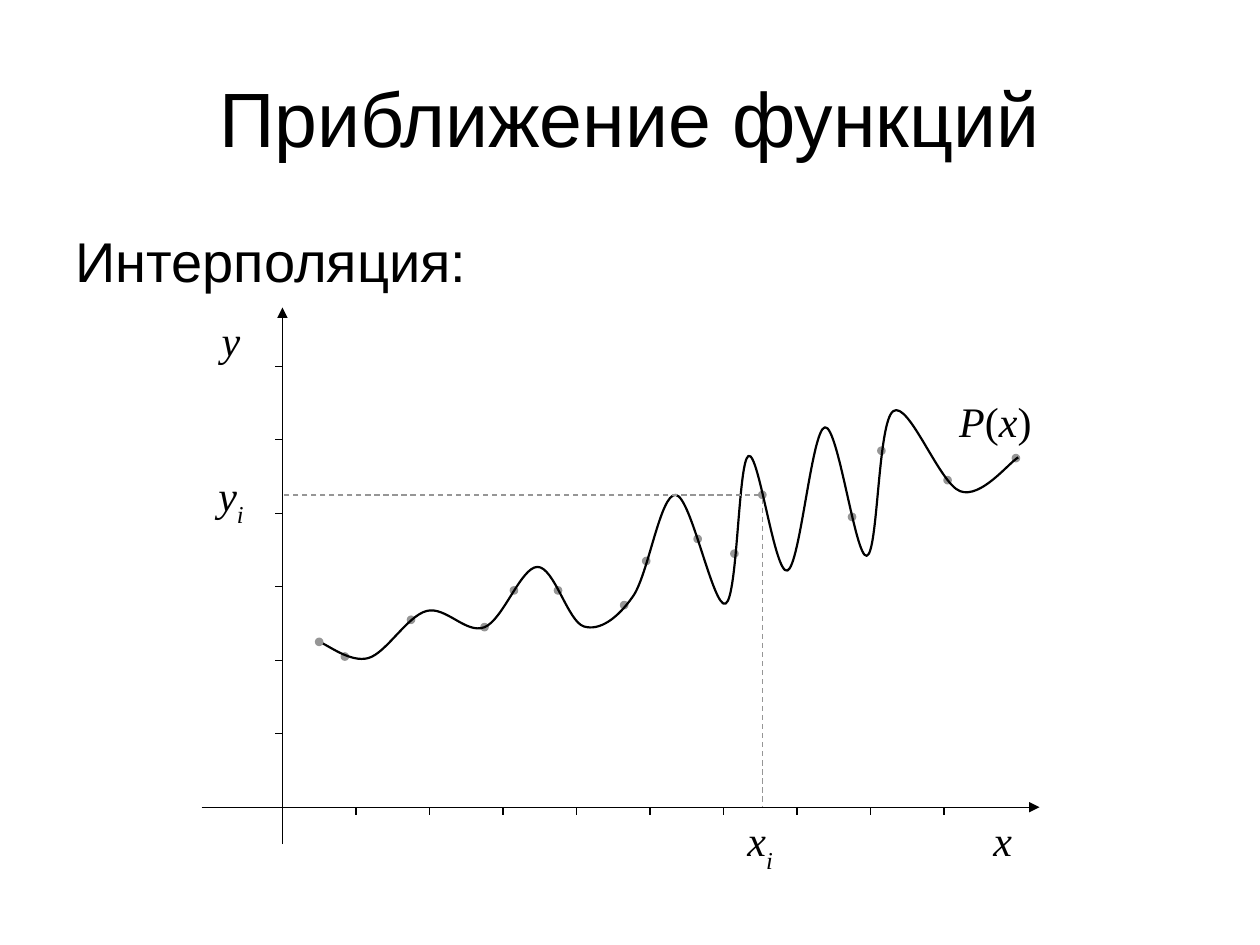
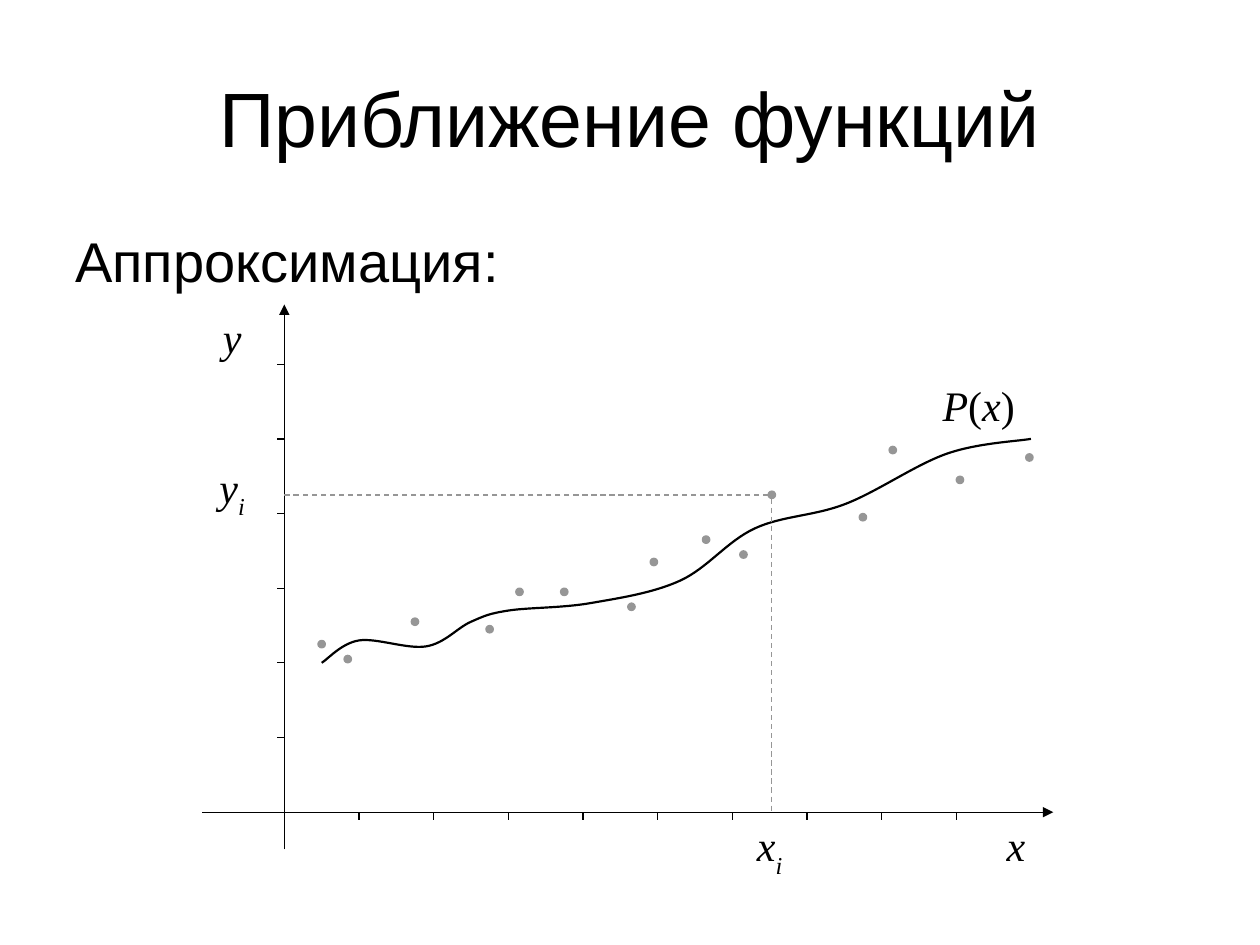
from lxml import etree
from pptx import Presentation
from pptx.dml.color import RGBColor
from pptx.enum.dml import MSO_LINE
from pptx.enum.shapes import MSO_CONNECTOR, MSO_SHAPE
from pptx.enum.text import MSO_ANCHOR, PP_ALIGN
from pptx.oxml.ns import qn
from pptx.util import Pt

STRAIGHT = MSO_CONNECTOR.STRAIGHT
ELLIPSE = MSO_SHAPE.OVAL
DASH = MSO_LINE.DASH
TOP, MIDDLE = MSO_ANCHOR.TOP, MSO_ANCHOR.MIDDLE
LEFT, CENTER = PP_ALIGN.LEFT, PP_ALIGN.CENTER

COLORS = {"ink": "000000", "data": "969696"}
HEADING_FONT, FORMULA_FONT = "Arial", "Times New Roman"
TITLE = "Приближение функций"
TITLE_BOX = (36, 21.6, 648, 90)
BODY_BOX = (36, 126, 648, 356.4)

UNITS_WIDE = 11.5
ORIGIN = (1.2, 6.8)
MARKED = (6.53, 4.25)
DATA = [
    (0.5, 2.25), (0.85, 2.05), (1.75, 2.55), (2.75, 2.45), (3.15, 2.95),
    (3.75, 2.95), (4.65, 2.75), (4.95, 3.35), (5.65, 3.65), (6.15, 3.45),
    MARKED, (7.75, 3.95), (8.15, 4.85), (9.05, 4.45), (9.98, 4.75),
]
DOT = 0.1

CHARTS = [
    {
        "heading": "Интерполяция:",
        "box": (111, 175.7, 483),
        "curve_label": (9.1, 5.6),
        "y_i_top": 4.6,
        "knots": [
            (0.5, 2.25), (1.17, 2.03), (1.96, 2.67), (2.75, 2.45),
            (3.47, 3.27), (4.1, 2.46), (4.77, 2.87), (5.35, 4.25),
            (6.03, 2.77), (6.34, 4.78), (6.87, 3.22), (7.38, 5.17),
            (7.95, 3.42), (8.31, 5.39), (9.22, 4.3), (10.01, 4.76),
        ],
    },
    {
        "heading": "Аппроксимация:",
        "box": (111.3, 174, 490.6),
        "curve_label": (8.7, 5.8),
        "y_i_top": 4.7,
        "knots": [
            (0.5, 2), (1, 2.3), (1.9, 2.22), (2.5, 2.55), (3, 2.7),
            (4.1, 2.8), (5.3, 3.1), (6.3, 3.8), (7.52, 4.13),
            (8.87, 4.8), (10, 5),
        ],
    },
]


def color(name):
    return RGBColor.from_string(COLORS[name])


def add_text(shapes, box, runs, font_name, size, align, anchor=TOP, inset=None):
    shape = shapes.add_textbox(*map(Pt, box))
    frame = shape.text_frame
    frame.word_wrap = True
    frame.vertical_anchor = anchor
    if inset is not None:
        frame.margin_left = frame.margin_right = Pt(inset)
        frame.margin_top = frame.margin_bottom = Pt(inset)
    paragraph = frame.paragraphs[0]
    paragraph.alignment = align
    paragraph.font.name = font_name
    paragraph.font.size = Pt(size)
    paragraph.font.color.rgb = color("ink")
    for text, style in runs:
        run = paragraph.add_run()
        run.text = text
        if "i" in style:
            run.font.italic = True
        if "_" in style:
            run._r.get_or_add_rPr().set("baseline", "-30000")
    return paragraph


def add_line(shapes, start, end, name="ink", dashed=False, arrow=False):
    connector = shapes.add_connector(STRAIGHT, *map(Pt, start + end))
    connector.line.color.rgb = color(name)
    connector.line.width = Pt(0.75)
    if dashed:
        connector.line.dash_style = DASH
    if arrow:
        line = connector.line._get_or_add_ln()
        etree.SubElement(line, qn("a:tailEnd"), type="triangle")
    etree.SubElement(connector._element.spPr, qn("a:effectLst"))


def bezier_points(knots):
    padded = [knots[0], *knots, knots[-1]]
    points = [knots[0]]
    for before, start, end, after in zip(padded, padded[1:], padded[2:], padded[3:]):
        leaving = tuple(b + (c - a) / 6 for a, b, c in zip(before, start, end))
        arriving = tuple(c - (d - b) / 6 for b, c, d in zip(start, end, after))
        points += [leaving, arriving, end]
    return points


def bend_segments(freeform):
    path = next(freeform._element.iter(qn("a:path")))
    segments = path.findall(qn("a:lnTo"))
    for first in range(0, len(segments), 3):
        bend = etree.SubElement(path, qn("a:cubicBezTo"))
        for segment in segments[first:first + 3]:
            bend.append(segment[0])
            path.remove(segment)


def draw_axes(shapes, place):
    add_line(shapes, place(0, -0.5), place(0, 6.8), arrow=True)
    add_line(shapes, place(-1.1, 0), place(10.3, 0), arrow=True)
    for x in range(1, 10):
        add_line(shapes, place(x, 0), place(x, -0.1))
    for y in range(1, 7):
        add_line(shapes, place(0, y), place(-0.1, y))


def draw_dots(shapes, place, unit, data):
    for x, y in data:
        corner = place(x - DOT / 2, y + DOT / 2)
        dot = shapes.add_shape(
            ELLIPSE, *map(Pt, corner + (DOT * unit, DOT * unit)))
        dot.shadow.inherit = False
        dot.fill.solid()
        dot.fill.fore_color.rgb = color("data")
        dot.line.color.rgb = color("data")
        dot.line.width = Pt(0.75)


def draw_guides(shapes, place):
    x, y = MARKED
    add_line(shapes, place(x, y - DOT / 2), place(x, 0), "data", dashed=True)
    add_line(shapes, place(x - DOT / 2, y), place(0, y), "data", dashed=True)


def draw_curve(shapes, place, knots):
    points = [tuple(map(Pt, place(x, y))) for x, y in bezier_points(knots)]
    builder = shapes.build_freeform(*points[0])
    builder.add_line_segments(points[1:], close=False)
    curve = builder.convert_to_shape()
    bend_segments(curve)
    curve.shadow.inherit = False
    curve.fill.background()
    curve.line.color.rgb = color("ink")
    curve.line.width = Pt(1.25)


def draw_labels(shapes, place, unit, chart):
    labels = [
        ((-1.2, 6.7), 1, [("y", "i")]),
        ((9.3, -0.1), 1, [("x", "i")]),
        (chart["curve_label"], 1.2,
         [("P", "i"), ("(", ""), ("x", "i"), (")", "")]),
        ((6, -0.1), 1, [("x", "i"), ("i", "i_")]),
        ((-1.2, chart["y_i_top"]), 1, [("y", "i"), ("i", "i_")]),
    ]
    for corner, width, runs in labels:
        box = place(*corner) + (width * unit, 0.8 * unit)
        add_text(shapes, box, runs, FORMULA_FONT, 24, CENTER, inset=0)


def draw_chart(slide, chart):
    left, top, width = chart["box"]
    unit = width / UNITS_WIDE
    shapes = slide.shapes.add_group_shape().shapes

    def place(x, y):
        return left + (ORIGIN[0] + x) * unit, top + (ORIGIN[1] - y) * unit

    draw_axes(shapes, place)
    draw_dots(shapes, place, unit, DATA[1:])
    draw_curve(shapes, place, chart["knots"])
    draw_dots(shapes, place, unit, DATA[:1])
    draw_guides(shapes, place)
    draw_labels(shapes, place, unit, chart)


def build_slide(presentation, chart):
    slide = presentation.slides.add_slide(presentation.slide_layouts[6])
    add_text(slide.shapes, TITLE_BOX, [(TITLE, "")], HEADING_FONT, 44, CENTER, MIDDLE)
    heading = add_text(
        slide.shapes, BODY_BOX, [(chart["heading"], "")], HEADING_FONT, 32, LEFT)
    heading.space_before = Pt(8)
    draw_chart(slide, chart)


def main():
    presentation = Presentation()
    presentation.slide_width = Pt(720)
    presentation.slide_height = Pt(540)
    for chart in CHARTS:
        build_slide(presentation, chart)
    presentation.save("out.pptx")


if __name__ == "__main__":
    main()
